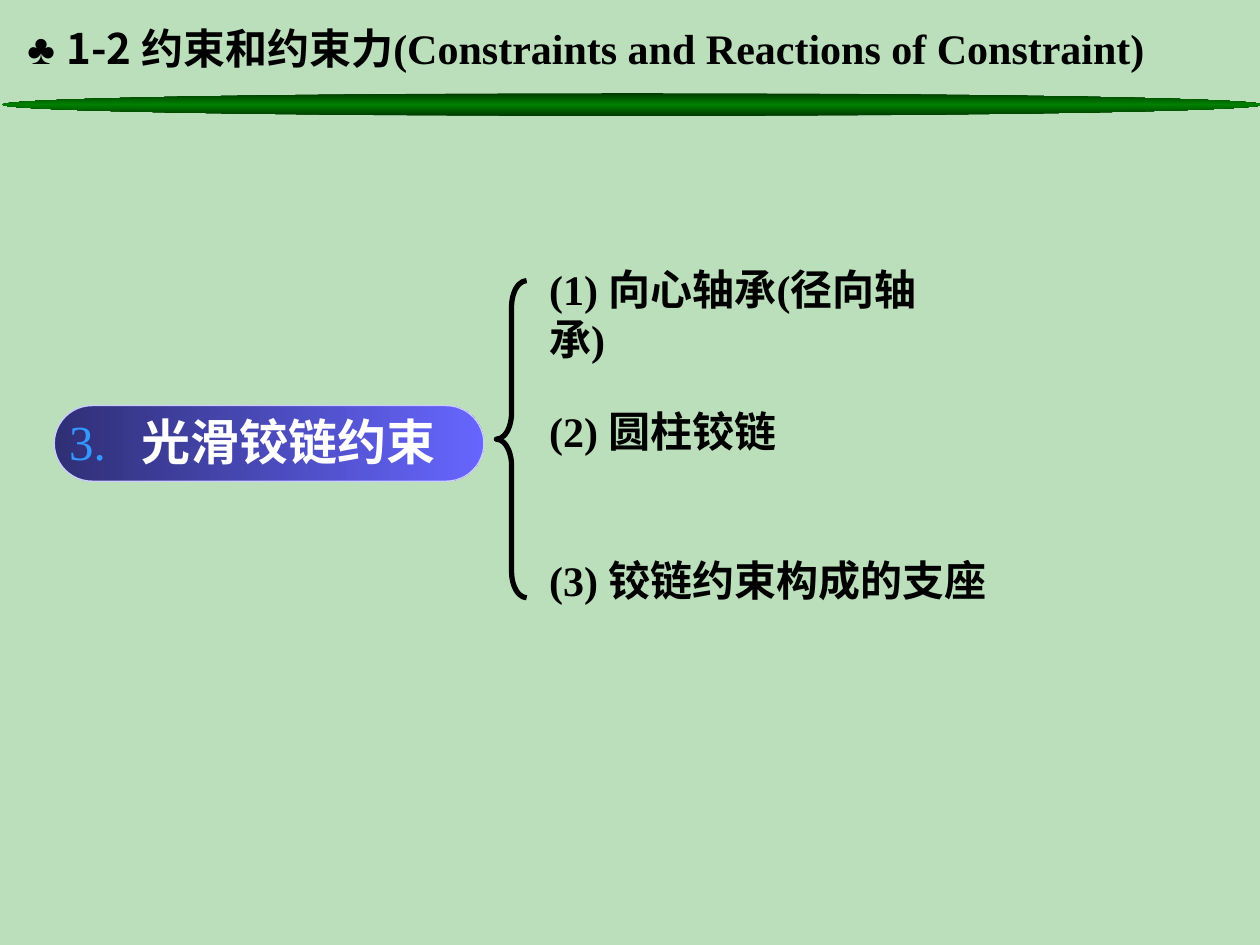
from dataclasses import dataclass

import lxml.etree
import pptx
import pptx.dml.color
import pptx.enum.dml
import pptx.enum.shapes
import pptx.oxml.ns
import pptx.util

Pt = pptx.util.Pt
qn = pptx.oxml.ns.qn
SHAPES = pptx.enum.shapes.MSO_SHAPE

COLORS = {
    "background": "BBDFBB",
    "rule_edge": "003B00",
    "rule_middle": "008000",
    "pill_start": "2F2F76",
    "pill_end": "6666FF",
    "pill_outline": "CCCCFF",
    "number": "3399FF",
    "heading": "FFFFFF",
    "ink": "000000",
}
SERIF = "Times New Roman"


@dataclass
class Box:
    left: float
    top: float
    width: float
    height: float

    def lengths(self) -> list:
        return [Pt(v) for v in (self.left, self.top, self.width, self.height)]


@dataclass
class Span:
    text: str
    font: str = SERIF
    color: str = "ink"
    bold: bool = True
    italic: bool = False


@dataclass
class Topic:
    text: str
    top: float
    width: float
    height: float = 36


TOPIC_LEFT = 306.7
TOPICS = [
    Topic("(1) 向心轴承(径向轴承)", 146.9, 249.1, 64.8),
    Topic("(2) 圆柱铰链", 228.2, 181.4),
    Topic("(3) 铰链约束构成的支座", 313.2, 306),
]


def rgb(name: str) -> pptx.dml.color.RGBColor:
    return pptx.dml.color.RGBColor.from_string(COLORS[name])


def add_shape(slide, kind, box: Box):
    shape = slide.shapes.add_shape(kind, *box.lengths())
    shape.shadow.inherit = False
    return shape


def fill_gradient(shape, names: list[str], angle: float) -> None:
    """Spread the named colours evenly along a linear gradient."""
    shape.fill.gradient()
    shape.fill.gradient_angle = angle
    stops = next(shape._element.iter(qn("a:gsLst")))
    for stop in list(stops):
        stops.remove(stop)
    for index, name in enumerate(names):
        position = 100000 * index // (len(names) - 1)
        stop = lxml.etree.SubElement(stops, qn("a:gs"), pos=str(position))
        lxml.etree.SubElement(stop, qn("a:srgbClr"), val=COLORS[name])


def add_text(slide, box: Box, size: float, spans: list[Span], tab_stop: float = 0) -> None:
    frame = slide.shapes.add_textbox(*box.lengths()).text_frame
    frame.word_wrap = True
    paragraph = frame.paragraphs[0]
    if tab_stop:
        tabs = lxml.etree.SubElement(paragraph._p.get_or_add_pPr(), qn("a:tabLst"))
        lxml.etree.SubElement(tabs, qn("a:tab"), pos=str(Pt(tab_stop)), algn="l")
    paragraph.font.size = Pt(size)
    for span in spans:
        run = paragraph.add_run()
        run.text = span.text
        run.font.size = Pt(size)
        run.font.name = span.font
        run.font.bold = span.bold
        run.font.italic = span.italic
        run.font.color.rgb = rgb(span.color)


def add_header(slide) -> None:
    rule = add_shape(slide, SHAPES.OVAL, Box(1.4, 53.3, 720, 13))
    fill_gradient(rule, ["rule_edge", "rule_middle", "rule_edge"], 90)
    rule.line.fill.background()
    add_text(slide, Box(8.6, 9.4, 720, 48.2), 24, [
        Span("♣ ", font="Arial", bold=False, italic=True),
        Span("1-2 ", font="Noto Sans CJK SC"),
        Span("约束和约束力(Constraints and Reactions of Constraint)"),
    ])


def add_heading(slide) -> None:
    pill = add_shape(slide, SHAPES.ROUNDED_RECTANGLE, Box(31, 231.8, 245.5, 43.2))
    pill.adjustments[0] = 0.5
    fill_gradient(pill, ["pill_start", "pill_end"], 0)
    pill.line.color.rgb = rgb("pill_outline")
    pill.line.width = Pt(0.75)
    add_text(slide, Box(32.4, 231.8, 280.8, 41), 28, [
        Span("3.\t", color="number", bold=False),
        Span("光滑铰链约束", color="heading"),
    ], tab_stop=41.5)


def add_topics(slide) -> None:
    brace = add_shape(slide, SHAPES.LEFT_BRACE, Box(283.7, 160.4, 17.3, 181.2))
    brace.adjustments[0] = 0.87
    brace.fill.background()
    brace.line.color.rgb = rgb("ink")
    brace.line.width = Pt(3)
    for topic in TOPICS:
        box = Box(TOPIC_LEFT, topic.top, topic.width, topic.height)
        add_text(slide, box, 24, [Span(topic.text)])


def main() -> None:
    deck = pptx.Presentation()
    deck.slide_width, deck.slide_height = Pt(720), Pt(540)
    slide = deck.slides.add_slide(deck.slide_layouts[6])
    slide.background.fill.solid()
    slide.background.fill.fore_color.rgb = rgb("background")
    add_header(slide)
    add_heading(slide)
    add_topics(slide)
    deck.save("out.pptx")


if __name__ == "__main__":
    main()
